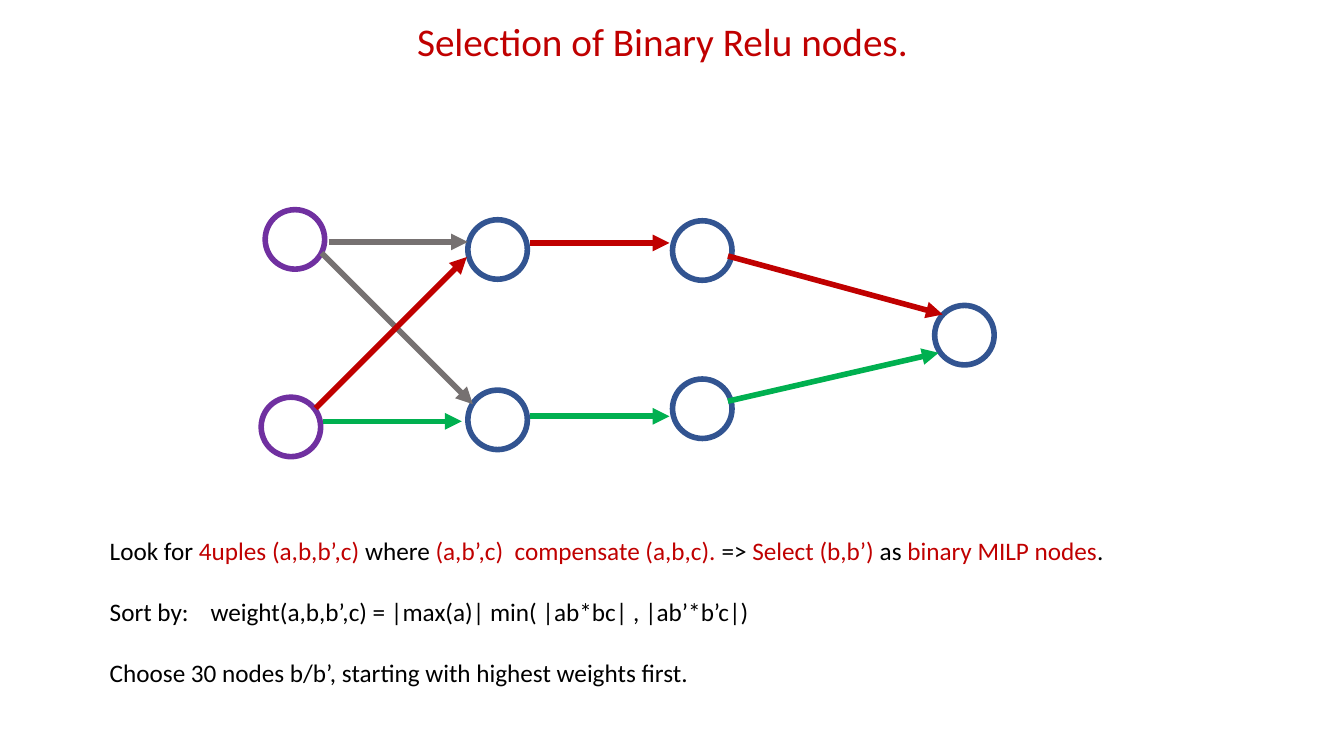
from lxml import etree
from pptx import Presentation
from pptx.dml.color import RGBColor
from pptx.enum.shapes import MSO_CONNECTOR, MSO_SHAPE
from pptx.enum.text import MSO_ANCHOR, PP_ALIGN
from pptx.oxml.ns import qn
from pptx.util import Inches, Pt

RED, GREEN, GREY = "C00000", "00B050", "767171"
BLUE, PURPLE, BLACK = "325491", "7030A0", "000000"
FONT = "Calibri"
NODE_SIZE = 0.59
LINE_WIDTH = 4

# Nodes: left and top within the network, outline colour
NODES = [
    (0.04, 0, PURPLE), (0, 1.86, PURPLE),
    (2.05, 0.1, BLUE), (2.05, 1.79, BLUE),
    (4.08, 0.11, BLUE), (4.08, 1.68, BLUE),
    (6.68, 0.95, BLUE),
]
# Arrows: start and end within the network, colour
ARROWS = [
    ((0.67, 0.32), (2.05, 0.32), GREY),
    ((0.61, 2.1), (1.99, 2.1), GREEN),
    ((0.6, 0.43), (2.1, 1.93), GREY),
    ((0.54, 1.97), (2.04, 0.47), RED),
    ((2.67, 0.33), (4.05, 0.33), RED),
    ((2.67, 2.05), (4.05, 2.05), GREEN),
    ((4.63, 0.46), (6.76, 1.04), RED),
    ((4.63, 1.9), (6.72, 1.42), GREEN),
]
STEPS = [
    [("Look for ", BLACK), ("4uples (a,b,b’,c) ", RED), ("where", BLACK),
     (" (a,b’,c)  compensate (a,b,c). ", RED), ("=>", BLACK),
     (" Select (b,b’) ", RED), ("as ", BLACK),
     ("binary MILP nodes", RED), (".", BLACK)],
    [("Sort by:\tweight(a,b,b’,c) = |max(a)| min( |ab*bc| , |ab’*b’c|)", BLACK)],
    [("Choose 30 nodes b/b’, starting with highest weights first.", BLACK)],
]


def color(hex_string):
    return RGBColor.from_string(hex_string)


def add_title(slide, left, top, width, height):
    title = slide.shapes.title
    title.left, title.top = Inches(left), Inches(top)
    title.width, title.height = Inches(width), Inches(height)
    frame = title.text_frame
    frame.text = "Selection of Binary Relu nodes."
    frame.vertical_anchor = MSO_ANCHOR.TOP
    heading = frame.paragraphs[0]
    heading.alignment = PP_ALIGN.CENTER
    heading.font.name, heading.font.size = FONT, Pt(28)
    heading.font.color.rgb = color(RED)


def add_node(slide, left, top, outline):
    node = slide.shapes.add_shape(MSO_SHAPE.OVAL, Inches(left), Inches(top),
                                  Inches(NODE_SIZE), Inches(NODE_SIZE))
    node.shadow.inherit = False
    node.fill.background()
    node.line.color.rgb = color(outline)
    node.line.width = Pt(LINE_WIDTH)


def add_arrow(slide, start, end, stroke):
    arrow = slide.shapes.add_connector(
        MSO_CONNECTOR.STRAIGHT, *(Inches(v) for v in (*start, *end)))
    arrow.line.color.rgb = color(stroke)
    arrow.line.width = Pt(LINE_WIDTH)
    # Arrowhead, and no shadow
    etree.SubElement(arrow.line._get_or_add_ln(), qn("a:tailEnd"), type="triangle")
    etree.SubElement(arrow._element.spPr, qn("a:effectLst"))


def add_network(slide, left, top):
    for x, y, outline in NODES:
        add_node(slide, left + x, top + y, outline)
    for (x1, y1), (x2, y2), stroke in ARROWS:
        add_arrow(slide, (left + x1, top + y1), (left + x2, top + y2), stroke)


def add_steps(slide, left, top, width, height):
    box = slide.shapes.add_textbox(Inches(left), Inches(top),
                                   Inches(width), Inches(height))
    frame = box.text_frame
    frame.word_wrap = True
    for index, pieces in enumerate(STEPS):
        step = frame.add_paragraph() if index else frame.paragraphs[0]
        if index:
            step.space_before = Pt(22)
        step.font.name, step.font.size = FONT, Pt(18)
        for words, tint in pieces:
            run = step.add_run()
            run.text = words
            run.font.color.rgb = color(tint)


def main():
    deck = Presentation()
    deck.slide_width, deck.slide_height = Inches(13.33), Inches(7.5)
    slide = deck.slides.add_slide(deck.slide_layouts[5])  # title only
    add_title(slide, 0.89, 0.12, 11.36, 0.6)
    add_network(slide, 2.59, 2.08)
    add_steps(slide, 0.99, 5.26, 11.36, 1.66)
    deck.save("out.pptx")


if __name__ == "__main__":
    main()
